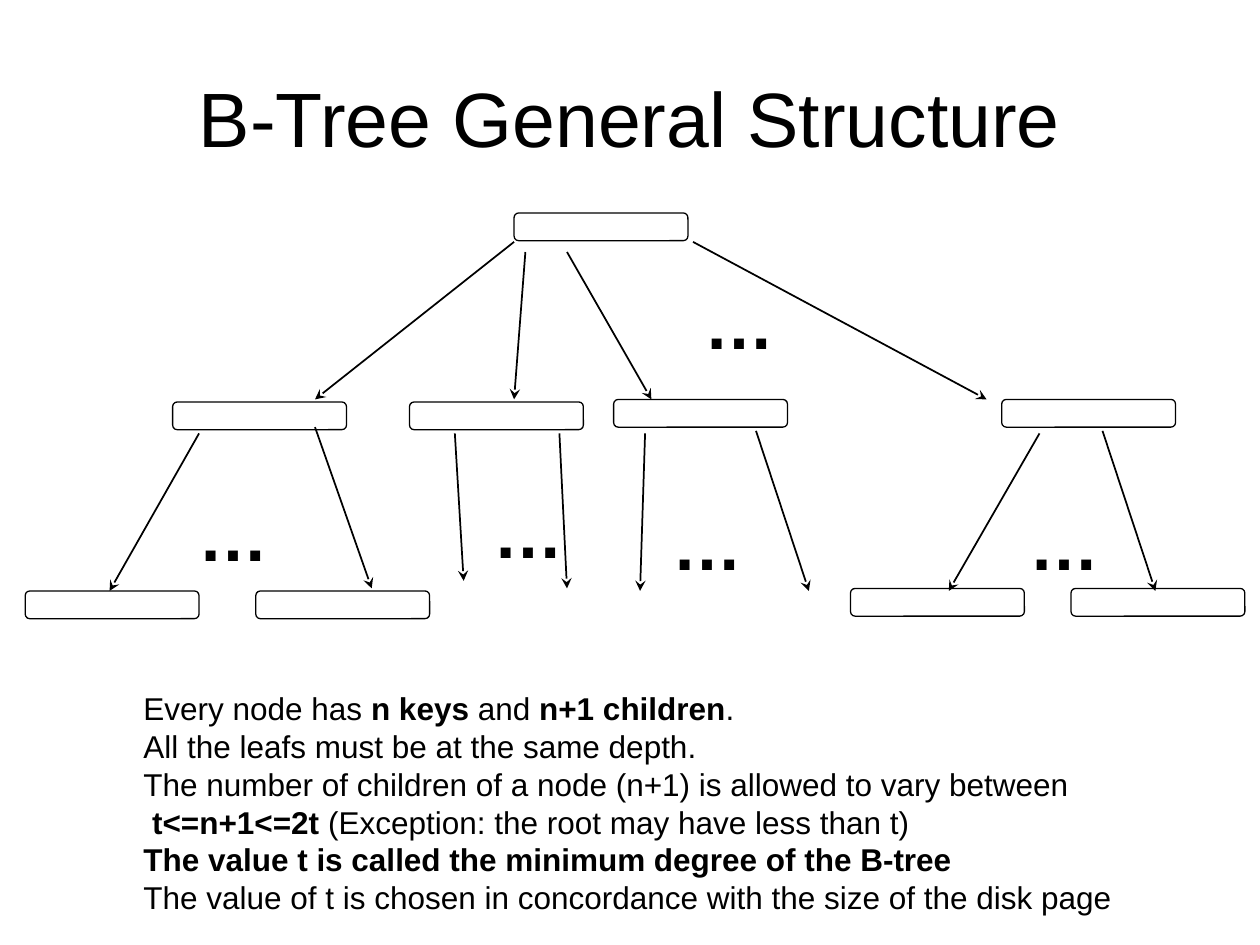
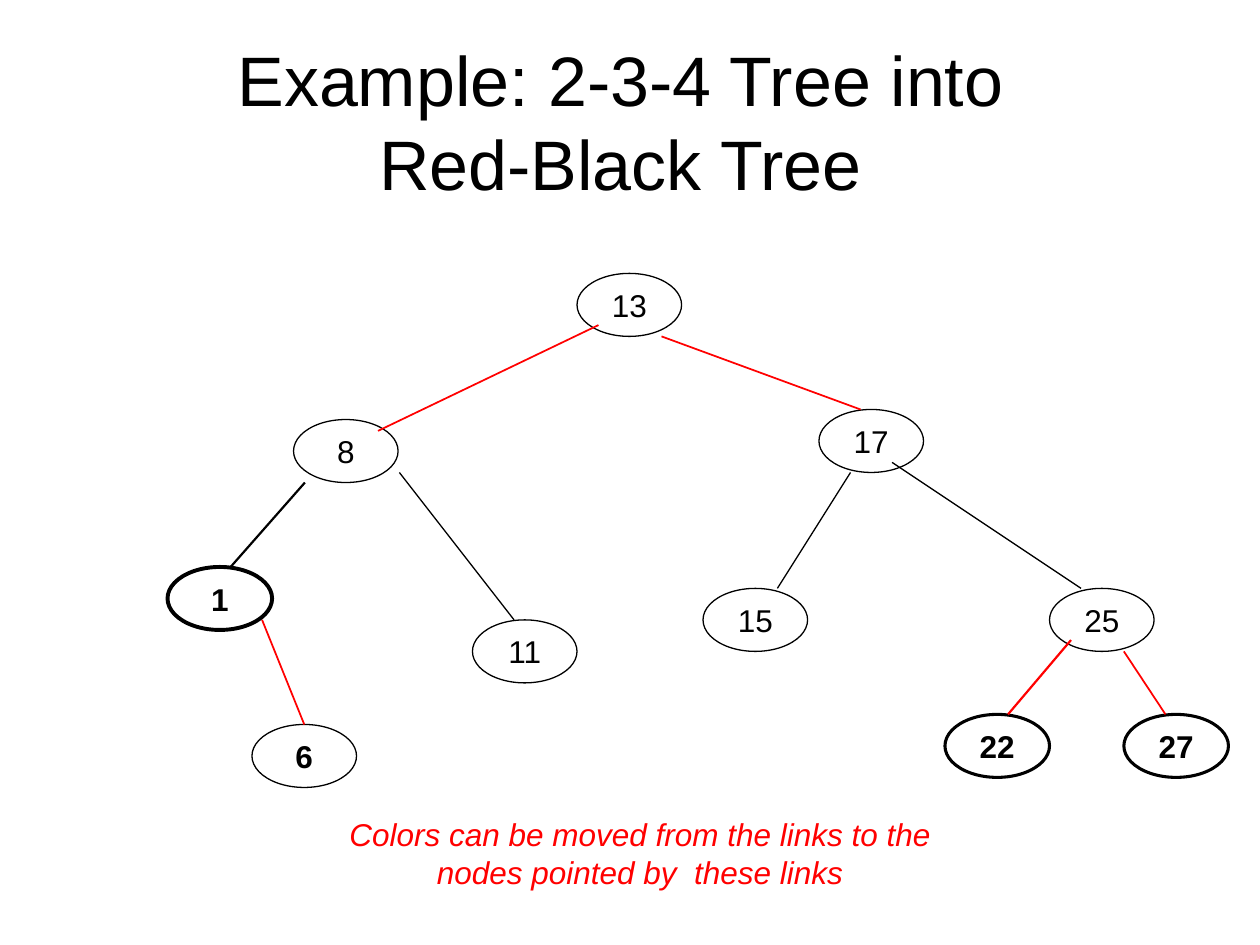
"""Build two slides about B-trees and red-black trees."""
from typing import Any, NamedTuple

from lxml import etree
from pptx import Presentation
from pptx import util as u
from pptx.dml.color import RGBColor
from pptx.enum import shapes, text
from pptx.oxml.ns import qn

BLACK = "000000"
RED = "FF0000"
BODY_FONT = {"name": "Arial", "size": u.Pt(18), "bold": False, "italic": False}
ELLIPSIS_FONT = BODY_FONT | {"size": u.Pt(40), "bold": True}
CENTER = text.PP_ALIGN.CENTER
KEY_BOX_SIZE = (1.38, 0.22)
TREE_NODE_SIZE = (0.83, 0.5)
ELLIPSIS_SIZE = (0.76, 0.77)
TOP_SITE = 0


class Node(NamedTuple):
    left: float
    top: float
    label: str = ""
    weight: float = 0.75
    bold: bool = False


class Link(NamedTuple):
    start: tuple[float, float]
    end: tuple[float, float]
    color: str = BLACK
    weight: float = 1
    child: str = ""


class Span(NamedTuple):
    words: str
    bold: bool = False


KEY_BOXES = [
    Node(4.08, 1.69),
    Node(1.37, 3.19), Node(3.25, 3.19), Node(4.87, 3.17), Node(7.95, 3.17),
    Node(0.2, 4.69), Node(2.03, 4.69), Node(6.75, 4.67), Node(8.5, 4.67),
]
CHILD_POINTERS = [
    Link((4.08, 1.92), (2.5, 3.17)), Link((4.17, 2), (4.08, 3.17)),
    Link((4.5, 2), (5.17, 3.17)), Link((5.5, 1.92), (7.83, 3.17)),
    Link((1.58, 3.44), (0.87, 4.69)), Link((2.5, 3.39), (2.95, 4.67)),
    Link((3.61, 3.44), (3.68, 4.61)), Link((4.44, 3.44), (4.5, 4.67)),
    Link((5.12, 3.44), (5.08, 4.69)), Link((6, 3.42), (6.42, 4.69)),
    Link((8.25, 3.44), (7.53, 4.69)), Link((8.75, 3.42), (9.17, 4.69)),
]
ELLIPSES = [(1.48, 3.85), (8.07, 3.92), (5.49, 2.17), (5.24, 3.92), (3.82, 3.83)]
PROPERTIES = [
    [Span("Every node has "), Span("n keys", True), Span(" and "),
     Span("n+1 children", True), Span(".")],
    [Span("All the leafs must be at the same depth.")],
    [Span("The number of children of a node (n+1) is allowed to vary between")],
    [Span(" "), Span("t<=n+1<=2t ", True),
     Span("(Exception: the root may have less than t)")],
    [Span("The value t is called the minimum degree of the B-tree", True)],
    [Span("The value of t is chosen in concordance with the size of the disk page")],
]
TREE_NODES = [
    Node(4.58, 2.17, "13"), Node(2.33, 3.33, "8"), Node(6.5, 3.25, "17"),
    Node(1.33, 4.5, "1", 2.25, True), Node(3.75, 4.92, "11"),
    Node(5.58, 4.67, "15"), Node(8.33, 4.67, "25"),
    Node(2, 5.75, "6", bold=True),
    Node(7.5, 5.67, "22", 1.75, True), Node(8.92, 5.67, "27", 1.75, True),
]
TREE_LINKS = [
    Link((4.75, 2.58), (3, 3.42), RED), Link((5.25, 2.67), (6.83, 3.25), RED),
    Link((2.42, 3.83), (1.83, 4.5), weight=1.25),
    Link((3.17, 3.75), (4.08, 4.92), weight=0.75),
    Link((6.75, 3.75), (6.17, 4.67), weight=0.75),
    Link((7.08, 3.67), (8.58, 4.67), weight=0.75),
    Link((2.08, 4.92), (2.42, 5.75), RED, child="6"),
    Link((8.5, 5.08), (8, 5.67), RED, 1.25),
    Link((8.92, 5.17), (9.25, 5.67), RED),
]


def rgb(color: str) -> RGBColor:
    """Turn a hex string into a colour."""
    return RGBColor.from_string(color)


def inches(*lengths: float) -> list[int]:
    """Turn numbers into lengths."""
    return [u.Inches(length) for length in lengths]


def apply_format(target: Any, values: dict[str, Any]) -> None:
    """Set each named attribute on the target."""
    for name, value in values.items():
        setattr(target, name, value)


def style_font(font: Any, values: dict[str, Any], color: str = BLACK) -> None:
    """Apply font values and a colour."""
    apply_format(font, values)
    font.color.rgb = rgb(color)


def style_line(line: Any, color: str, weight: float) -> None:
    """Give a line its colour and width."""
    line.color.rgb = rgb(color)
    line.width = u.Pt(weight)


def add_titled_slide(presentation: Any, title: str, top: float, size: float) -> Any:
    """Add a slide with its title placed and formatted."""
    slide = presentation.slides.add_slide(presentation.slide_layouts[5])
    shape = slide.shapes.title
    left, top, width, height = inches(0.5, top, 9, 1.25)
    apply_format(shape, {"left": left, "top": top, "width": width, "height": height})
    frame = shape.text_frame
    frame.text = title
    apply_format(frame, {"auto_size": text.MSO_AUTO_SIZE.NONE, "word_wrap": True,
                         "vertical_anchor": text.MSO_ANCHOR.MIDDLE})
    paragraph = frame.paragraphs[0]
    apply_format(paragraph, {"alignment": CENTER, "line_spacing": 1.0})
    for run in paragraph.runs:
        style_font(run.font, BODY_FONT | {"size": u.Pt(size)})
    return slide


def add_node(slide: Any, node: Node, kind: Any, size: tuple[float, float]) -> Any:
    """Draw an outlined node, with its key if it has one."""
    shape = slide.shapes.add_shape(kind, *inches(node.left, node.top, *size))
    shape.shadow.inherit = False
    shape.fill.background()
    style_line(shape.line, BLACK, node.weight)
    if node.label:
        frame = shape.text_frame
        apply_format(frame, {"text": node.label, "word_wrap": False,
                             "vertical_anchor": text.MSO_ANCHOR.MIDDLE})
        paragraph = frame.paragraphs[0]
        paragraph.alignment = CENTER
        style_font(paragraph.runs[0].font, BODY_FONT | {"bold": node.bold})
    return shape


def add_link(slide: Any, link: Link, arrow: bool = False) -> Any:
    """Draw a straight link, optionally ending in an arrowhead."""
    connector = slide.shapes.add_connector(
        shapes.MSO_CONNECTOR.STRAIGHT, *inches(*link.start, *link.end))
    style_line(connector.line, link.color, link.weight)
    properties = connector._element.spPr
    if arrow:
        etree.SubElement(properties.find(qn("a:ln")), qn("a:tailEnd"), type="stealth")
    etree.SubElement(properties, qn("a:effectLst"))
    return connector


def add_text(slide: Any, box: tuple[float, ...], lines: list[list[Span]],
             font: dict[str, Any], color: str = BLACK, wrap: bool = False,
             alignment: Any = text.PP_ALIGN.LEFT) -> None:
    """Write lines of spans in a text box."""
    frame = slide.shapes.add_textbox(*inches(*box)).text_frame
    apply_format(frame, {"word_wrap": wrap,
                         "auto_size": text.MSO_AUTO_SIZE.SHAPE_TO_FIT_TEXT})
    for index, spans in enumerate(lines):
        paragraph = frame.add_paragraph() if index else frame.paragraphs[0]
        paragraph.alignment = alignment
        for span in spans:
            run = paragraph.add_run()
            run.text = span.words
            style_font(run.font, font | {"bold": span.bold}, color)


def build_structure_slide(presentation: Any) -> None:
    """Build the general B-tree diagram and its properties."""
    slide = add_titled_slide(presentation, "B-Tree General Structure", 0.3, 44)
    for box in KEY_BOXES:
        add_node(slide, box, shapes.MSO_SHAPE.ROUNDED_RECTANGLE, KEY_BOX_SIZE)
    for pointer in CHILD_POINTERS:
        add_link(slide, pointer, arrow=True)
    for position in ELLIPSES:
        add_text(slide, (*position, *ELLIPSIS_SIZE), [[Span("…", True)]], ELLIPSIS_FONT)
    add_text(slide, (1.04, 5.42, 7.96, 1.92), PROPERTIES, BODY_FONT)


def build_example_slide(presentation: Any) -> None:
    """Build the red-black tree example."""
    slide = add_titled_slide(
        presentation, "Example: 2-3-4 Tree into \vRed-Black Tree ", 0.33, 40)
    nodes = {node.label: add_node(slide, node, shapes.MSO_SHAPE.OVAL, TREE_NODE_SIZE)
             for node in TREE_NODES}
    for link in TREE_LINKS:
        connector = add_link(slide, link)
        if link.child:
            connector.end_connect(nodes[link.child], TOP_SITE)
    caption = "Colors can be moved from the links to the nodes pointed by  these links"
    add_text(slide, (2.58, 6.42, 5, 0.7), [[Span(caption)]],
             BODY_FONT | {"italic": True}, RED, True, CENTER)


def main() -> None:
    """Build and save the presentation."""
    presentation = Presentation()
    apply_format(presentation, {"slide_width": u.Inches(10),
                                "slide_height": u.Inches(7.5)})
    build_structure_slide(presentation)
    build_example_slide(presentation)
    presentation.save("out.pptx")


if __name__ == "__main__":
    main()
